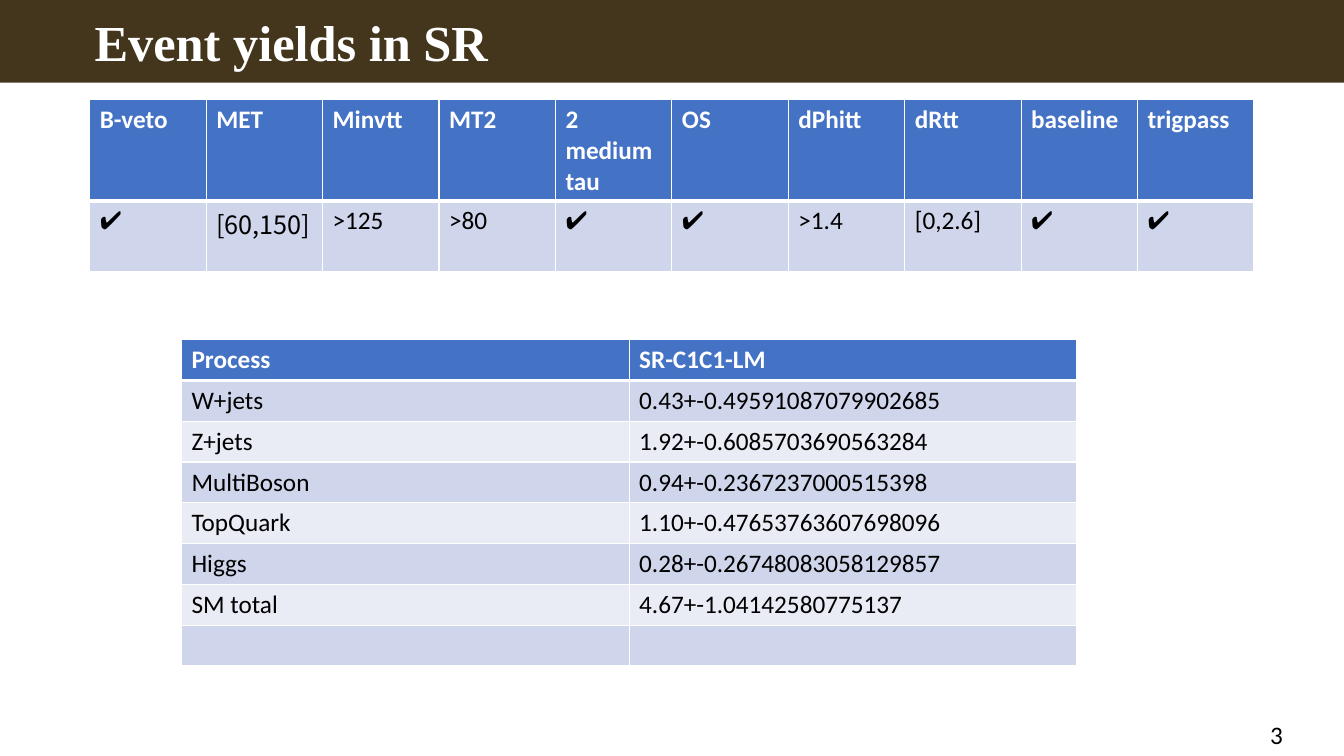
from dataclasses import dataclass

from lxml import etree
from pptx import Presentation
from pptx import util as u
from pptx.dml.color import RGBColor
from pptx.enum import shapes, text
from pptx.oxml.ns import qn


@dataclass(frozen=True)
class Theme:
    banner: str = "44361D"
    header: str = "4472C4"
    bands: tuple = ("CFD5EA", "E9EBF5")
    light: str = "FFFFFF"
    dark: str = "000000"
    body_font: str = "Calibri"
    range_font: str = "Noto Sans CJK SC"
    title_font: str = "Times New Roman"
    body_size: int = 18
    title_size: int = 36
    thin: int = 1
    thick: int = 3


class SlideBuilder:
    def __init__(self, page, theme):
        self.page = page
        self.theme = theme

    def bar(self, left, top, width, height, color):
        bar = self.page.shapes.add_shape(
            shapes.MSO_SHAPE.RECTANGLE, *map(u.Inches, (left, top, width, height)))
        bar.shadow.inherit = False
        bar.fill.solid()
        bar.fill.fore_color.rgb = RGBColor.from_string(color)
        bar.line.fill.background()

    def span(self, para, words, color, font, size, bold=False):
        span = para.add_run()
        span.text = words
        span.font.name = font
        span.font.size = u.Pt(size)
        span.font.bold = bold
        span.font.color.rgb = RGBColor.from_string(color)

    def label(self, left, top, width, height, words, **style):
        box = self.page.shapes.add_textbox(*map(u.Inches, (left, top, width, height)))
        box.text_frame.word_wrap = False
        box.text_frame.auto_size = text.MSO_AUTO_SIZE.SHAPE_TO_FIT_TEXT
        self.span(box.text_frame.paragraphs[0], words, **style)

    def borders(self, cell, top, bottom):
        """Draw the four cell edges; widths are in points."""
        properties = cell._tc.get_or_add_tcPr()
        thin = self.theme.thin
        edges = (("L", thin), ("R", thin), ("T", top), ("B", bottom))
        for position, (side, width) in enumerate(edges):
            line = etree.Element(qn(f"a:ln{side}"), w=str(u.Pt(width)))
            fill = etree.SubElement(line, qn("a:solidFill"))
            etree.SubElement(fill, qn("a:srgbClr"), val=self.theme.light)
            properties.insert(position, line)

    def table(self, left, top, width, heights, rows, fonts=None):
        """Add a table with a header row; fonts maps a text to its own font."""
        theme = self.theme
        columns = len(rows[0])
        table = self.page.shapes.add_table(
            len(rows), columns,
            *map(u.Inches, (left, top, width, sum(heights)))).table
        for column in table.columns:
            column.width = u.Inches(width / columns)
        for r, (height, row) in enumerate(zip(heights, rows)):
            table.rows[r].height = u.Inches(height)
            is_header = r == 0
            fill = theme.header if is_header else theme.bands[(r - 1) % 2]
            for c, words in enumerate(row):
                cell = table.cell(r, c)
                cell.fill.solid()
                cell.fill.fore_color.rgb = RGBColor.from_string(fill)
                self.borders(cell, theme.thick if r == 1 else theme.thin,
                             theme.thick if is_header else theme.thin)
                if words:
                    self.span(cell.text_frame.paragraphs[0], words,
                              theme.light if is_header else theme.dark,
                              (fonts or {}).get(words, theme.body_font),
                              theme.body_size, is_header)


CHECK = "✔️"
CUTS = [
    ("B-veto", "MET", "Minvtt", "MT2", "2 medium tau",
     "OS", "dPhitt", "dRtt", "baseline", "trigpass"),
    (CHECK, "[60,150]", ">125", ">80", CHECK,
     CHECK, ">1.4", "[0,2.6]", CHECK, CHECK),
]
YIELDS = [
    ("Process", "SR-C1C1-LM"),
    ("W+jets", "0.43+-0.49591087079902685"),
    ("Z+jets", "1.92+-0.6085703690563284"),
    ("MultiBoson", "0.94+-0.2367237000515398"),
    ("TopQuark", "1.10+-0.47653763607698096"),
    ("Higgs", "0.28+-0.26748083058129857"),
    ("SM total", "4.67+-1.04142580775137"),
    ("", ""),
]


def main():
    deck = Presentation()
    deck.slide_width, deck.slide_height = u.Inches(13.33), u.Inches(7.5)
    theme = Theme()
    slide = SlideBuilder(deck.slides.add_slide(deck.slide_layouts[6]), theme)

    # Banner, page number and title
    slide.bar(0, 0, 13.33, 0.82, theme.banner)
    slide.label(12.5, 7.09, 0.33, 0.4, "3", color=theme.dark,
                font=theme.body_font, size=theme.body_size)
    slide.label(0.84, 0.06, 4.27, 0.71, "Event yields in SR", color=theme.light,
                font=theme.title_font, size=theme.title_size, bold=True)

    # Expected yields per process
    slide.table(1.8, 3.37, 8.88, [3.24 / len(YIELDS)] * len(YIELDS), YIELDS)

    # Signal region selection cuts
    slide.table(0.89, 0.99, 11.55, [1, 0.7], CUTS, {"[60,150]": theme.range_font})

    deck.save("out.pptx")


if __name__ == "__main__":
    main()
